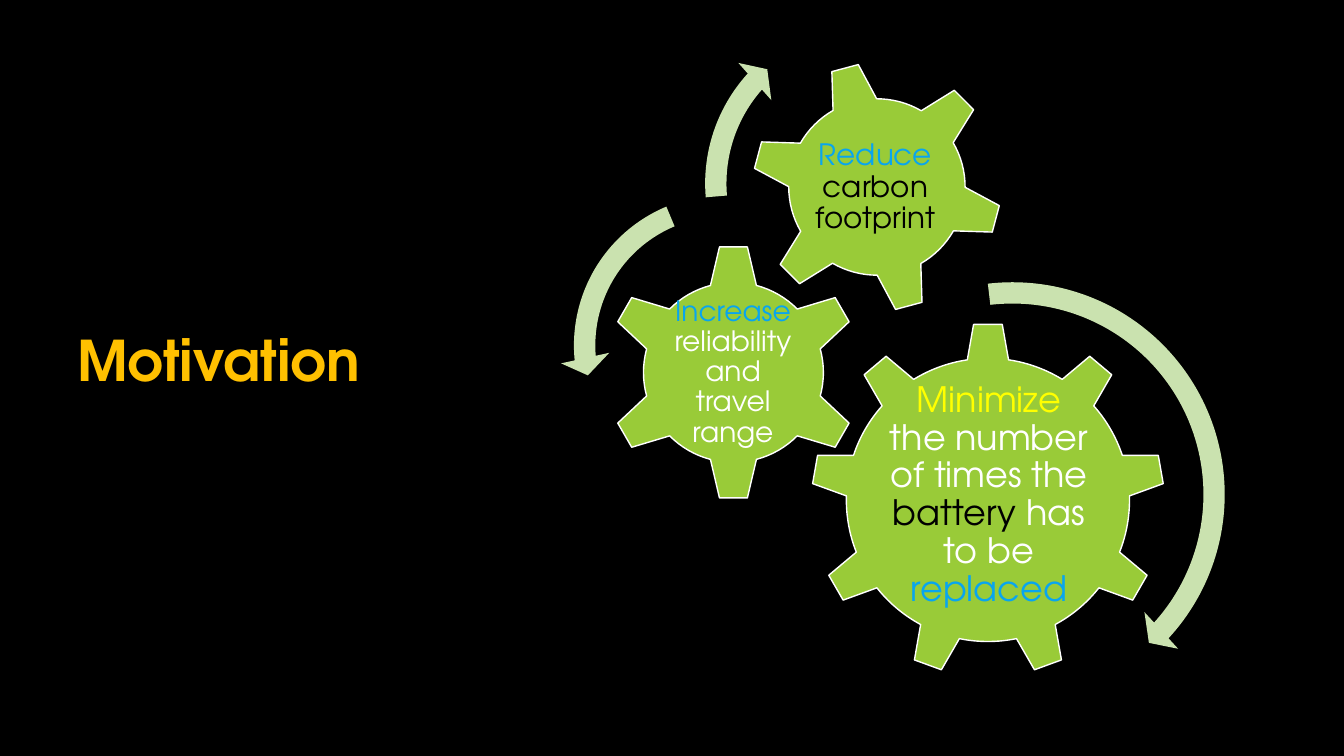
from dataclasses import dataclass

from pptx import Presentation
from pptx.dml.color import RGBColor
from pptx.enum.shapes import MSO_SHAPE as Shp
from pptx.enum.text import MSO_ANCHOR as Anchor, MSO_AUTO_SIZE as AutoSize, PP_ALIGN as Align
from pptx.util import Emu, Pt

SCALE = 914400 / 100.8
FONT = "TeX Gyre Adventor"
BLACK = RGBColor(0x00, 0x00, 0x00)
WHITE = RGBColor(0xFF, 0xFF, 0xFF)
AMBER = RGBColor(0xFF, 0xC0, 0x00)
YELLOW = RGBColor(0xFF, 0xFF, 0x00)
BLUE = RGBColor(0x08, 0xA5, 0xEF)
GREEN = RGBColor(0x99, 0xCB, 0x38)
PALE_GREEN = RGBColor(0xCA, 0xE2, 0xAF)

Box = tuple[int, int, int, int]
Runs = list[tuple[str, RGBColor]]


@dataclass
class Gear:
    kind: Shp
    x: int
    y: int
    side: int
    label: Box
    size: int
    runs: Runs
    rotation: int = 0


@dataclass
class Arrow:
    kind: Shp
    x: int
    y: int
    side: int
    adjustments: tuple[float, ...]


GEARS = [
    Gear(Shp.GEAR_9, 811, 323, 354, (883, 405, 212, 181), 25, [
        ("Minimize", YELLOW), (" the number of times the ", WHITE), ("battery", BLACK),
        (" has to be ", WHITE), ("replaced", BLUE)]),
    Gear(Shp.GEAR_6, 605, 244, 257, (669, 309, 128, 127), 20, [
        ("Increase", BLUE), (" reliability and travel range", WHITE)]),
    Gear(Shp.GEAR_6, 751, 61, 252, (805, 117, 141, 141), 21, [
        ("Reduce ", BLUE), ("carbon footprint", BLACK)], rotation=345),
]
ARROWS = [
    Arrow(Shp.CIRCULAR_ARROW, 786, 268, 453, (0.047, 2.99, 25.45, 158, 0.055)),
    Arrow(Shp.LEFT_CIRCULAR_ARROW, 560, 181, 329, (0.065, 4.3, 104.89, 148.38, 0.075)),
    Arrow(Shp.CIRCULAR_ARROW, 691, 6, 355, (0.06, 3.94, 133.14, 105.08, 0.07)),
]


def px(n: int) -> Emu:
    return Emu(round(n * SCALE))


def write(tf, runs: Runs, *, size: int, align: Align, anchor: Anchor, bold: bool = False) -> None:
    tf.word_wrap = True
    tf.auto_size = AutoSize.NONE
    tf.vertical_anchor = anchor
    p = tf.paragraphs[0]
    p.alignment = align
    p.line_spacing = 0.9
    for text, color in runs:
        r = p.add_run()
        r.text = text
        r.font.name = FONT
        r.font.size = Pt(size)
        r.font.bold = bold
        r.font.color.rgb = color


def add_square(s, item: Gear | Arrow, fill: RGBColor):
    sp = s.shapes.add_shape(item.kind, px(item.x), px(item.y), px(item.side), px(item.side))
    sp.shadow.inherit = False
    sp.fill.solid()
    sp.fill.fore_color.rgb = fill
    return sp


def add_gear(s, gear: Gear) -> None:
    sp = add_square(s, gear, GREEN)
    sp.rotation = gear.rotation
    sp.line.color.rgb = WHITE
    sp.line.width = Pt(1)
    tf = s.shapes.add_textbox(*map(px, gear.label)).text_frame
    tf.margin_left = tf.margin_right = tf.margin_top = tf.margin_bottom = px(3)
    write(tf, gear.runs, size=gear.size, align=Align.CENTER, anchor=Anchor.MIDDLE)


def add_arrow(s, arrow: Arrow) -> None:
    sp = add_square(s, arrow, PALE_GREEN)
    sp.line.fill.background()
    for i, value in enumerate(arrow.adjustments):
        sp.adjustments[i] = value


def main() -> None:
    prs = Presentation()
    prs.slide_width, prs.slide_height = px(1344), px(756)
    s = prs.slides.add_slide(prs.slide_layouts[5])
    s.background.fill.solid()
    s.background.fill.fore_color.rgb = BLACK
    title = s.shapes.title
    title.left, title.top, title.width, title.height = map(px, (67, 277, 395, 122))
    write(title.text_frame, [("Motivation", AMBER)], size=40, align=Align.LEFT,
          anchor=Anchor.BOTTOM, bold=True)
    for gear in GEARS:
        add_gear(s, gear)
    for arrow in ARROWS:
        add_arrow(s, arrow)
    prs.save("out.pptx")


if __name__ == "__main__":
    main()
